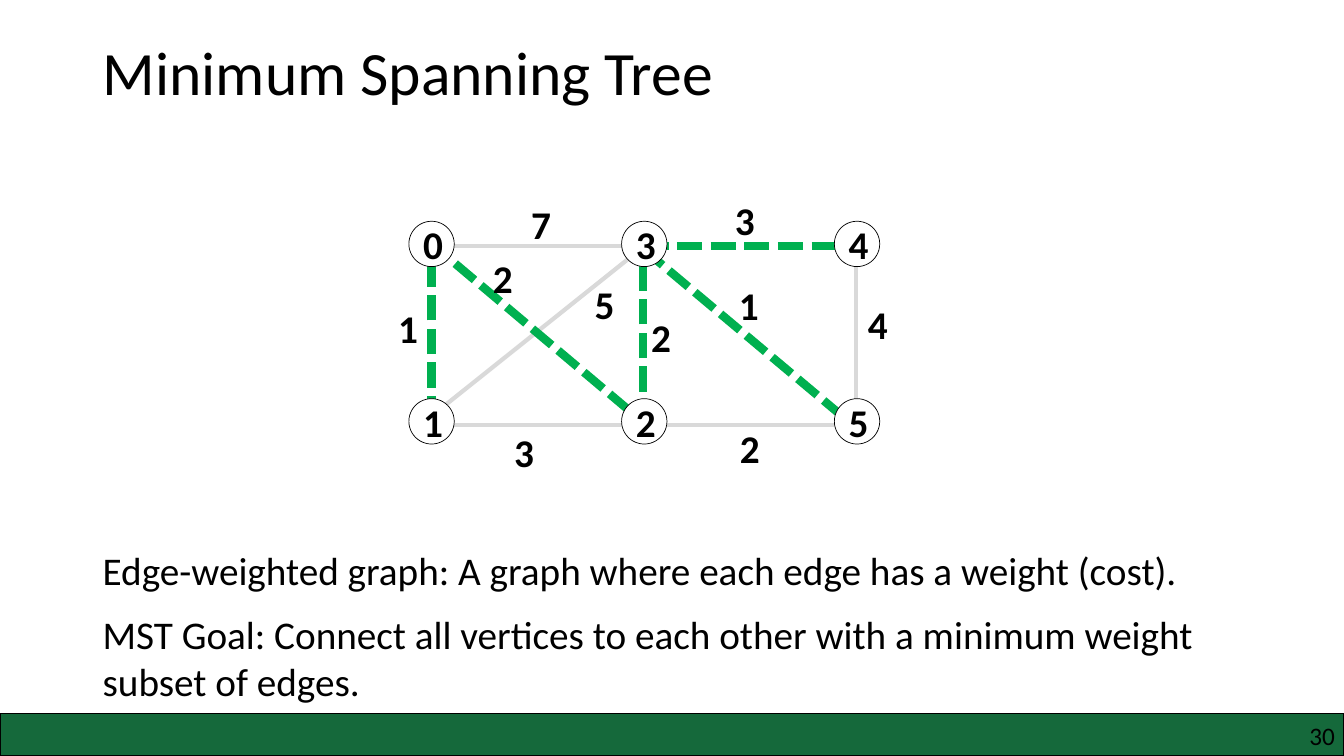
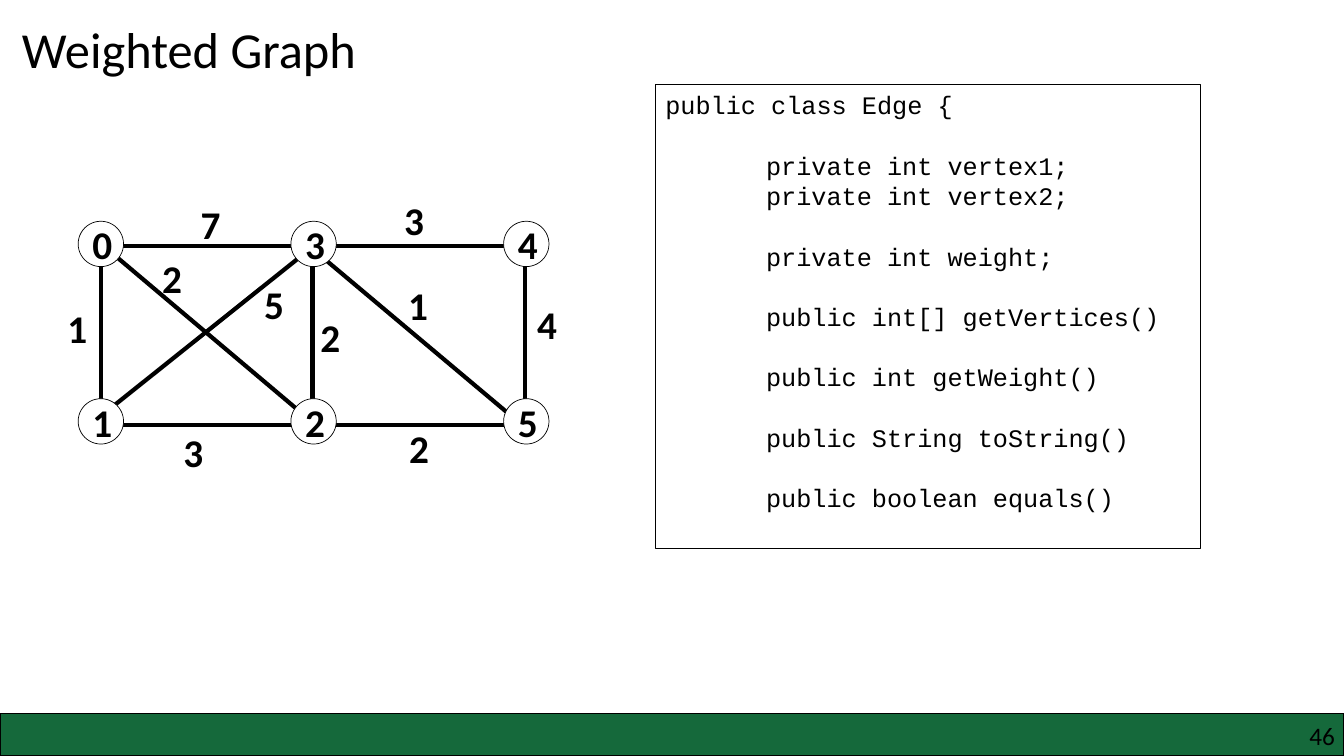
from dataclasses import dataclass

from lxml import etree
from pptx import Presentation
from pptx.dml.color import RGBColor
from pptx.enum import dml, shapes, text
from pptx.oxml import ns
from pptx.shapes.autoshape import Shape
from pptx.slide import Slide
from pptx.text.text import TextFrame, _Paragraph as Paragraph
from pptx.util import Inches, Pt


@dataclass(frozen=True)
class Theme:
    ink: RGBColor = RGBColor(0, 0, 0)
    paper: RGBColor = RGBColor(0xFF, 0xFF, 0xFF)
    band: RGBColor = RGBColor(0x15, 0x69, 0x3B)
    tree: RGBColor = RGBColor(0x00, 0xB0, 0x50)
    faded: RGBColor = RGBColor(0xD9, 0xD9, 0xD9)
    body_font: str = "Calibri"
    code_font: str = "Courier New"
    title_size: float = 44
    small_title_size: float = 36
    body_size: float = 28
    code_size: float = 18
    number_size: float = 18
    code_pitch: float = 21.6
    goal_gap: float = 12.2
    edge_width: float = 3
    tree_width: float = 6


@dataclass(frozen=True)
class Box:
    left: float
    top: float
    width: float
    height: float

    def lengths(self) -> tuple[int, int, int, int]:
        return (Inches(self.left), Inches(self.top),
                Inches(self.width), Inches(self.height))


@dataclass(frozen=True)
class Vertex:
    name: str
    x: float
    y: float


@dataclass(frozen=True)
class Edge:
    start: tuple[float, float]
    end: tuple[float, float]
    weight: str
    weight_at: tuple[float, float]
    in_tree: bool = False


THEME = Theme()
SLIDE_WIDTH, SLIDE_HEIGHT = 13.33, 7.5
BAND_TOP = 7.08
VERTEX_SIZE = 0.45
COLUMN_GAP = 2.11
TOP_ROW, BOTTOM_ROW = 2.42, 4.18
CODE_INDENT = 1

VERTICES = [
    Vertex(name, column * COLUMN_GAP, row)
    for name, column, row in (
        ("0", 0, TOP_ROW), ("1", 0, BOTTOM_ROW), ("2", 1, BOTTOM_ROW),
        ("3", 1, TOP_ROW), ("4", 2, TOP_ROW), ("5", 2, BOTTOM_ROW),
    )
]

EDGES = [
    Edge((2.1, 2.45), (-0.04, 4.16), "5", (1.52, 2.73)),
    Edge((0, 4.18), (0, 2.4), "1", (-0.43, 2.97), True),
    Edge((4.21, 4.16), (4.21, 2.37), "4", (4.23, 2.93)),
    Edge((2.1, 4.22), (2.1, 2.44), "2", (2.08, 3.06), True),
    Edge((0, 2.44), (2.15, 2.44), "7", (0.89, 1.94)),
    Edge((0, 4.22), (2.15, 4.22), "3", (0.72, 4.2)),
    Edge((2.1, 2.44), (4.25, 2.44), "3", (2.91, 1.9), True),
    Edge((2.15, 4.22), (4.3, 4.22), "2", (2.96, 4.16)),
    Edge((-0.02, 2.4), (2.1, 4.19), "2", (0.51, 2.47), True),
    Edge((2.1, 2.47), (4.23, 4.26), "1", (2.95, 2.74), True),
]

GOALS = [
    "Edge-weighted graph: A graph where each edge has a weight (cost).",
    "MST Goal: Connect all vertices to each other with a minimum weight "
    "subset of edges.",
]

CODE_GROUPS = [
    ["public class Edge {"],
    ["\tprivate int vertex1;", "\tprivate int vertex2;"],
    ["\tprivate int weight;"],
    ["\tpublic int[] getVertices()"],
    ["\tpublic int getWeight()"],
    ["\tpublic String toString()"],
    ["\tpublic boolean equals()"],
]


def add_line(frame: TextFrame, words: str, size: float, first: bool = True,
             bold: bool = False, font: str = THEME.body_font) -> Paragraph:
    paragraph = frame.paragraphs[0] if first else frame.add_paragraph()
    paragraph.alignment = text.PP_ALIGN.LEFT
    run = paragraph.add_run()
    run.text = words
    run.font.name = font
    run.font.size = Pt(size)
    run.font.bold = bold
    run.font.color.rgb = THEME.ink
    return paragraph


def clear_margins(frame: TextFrame) -> None:
    frame.margin_left = frame.margin_right = 0
    frame.margin_top = frame.margin_bottom = 0


def add_tab_stop(paragraph: Paragraph, position: float) -> None:
    properties = paragraph._p.get_or_add_pPr()
    stops = etree.SubElement(properties, ns.qn("a:tabLst"))
    etree.SubElement(stops, ns.qn("a:tab"), pos=str(Inches(position)), algn="l")


def add_words(slide: Slide, box: Box, lines: list[str], size: float,
              bold: bool = False, gap: float = 0) -> TextFrame:
    frame = slide.shapes.add_textbox(*box.lengths()).text_frame
    frame.word_wrap = True
    for index, words in enumerate(lines):
        paragraph = add_line(frame, words, size, index == 0, bold)
        if index:
            paragraph.space_before = Pt(gap)
    return frame


def add_panel(slide: Slide, kind: shapes.MSO_SHAPE, box: Box,
              fill: RGBColor, outline: float) -> Shape:
    panel = slide.shapes.add_shape(kind, *box.lengths())
    panel.shadow.inherit = False
    panel.fill.solid()
    panel.fill.fore_color.rgb = fill
    panel.line.color.rgb = THEME.ink
    panel.line.width = Pt(outline)
    return panel


def draw_edge(slide: Slide, edge: Edge, left: float, color: RGBColor,
              dashed: bool) -> None:
    (x1, y1), (x2, y2) = edge.start, edge.end
    link = slide.shapes.add_connector(
        shapes.MSO_CONNECTOR.STRAIGHT,
        Inches(left + x1), Inches(y1), Inches(left + x2), Inches(y2))
    link.line.color.rgb = color
    link.line.width = Pt(THEME.tree_width if dashed else THEME.edge_width)
    if dashed:
        link.line.dash_style = dml.MSO_LINE.SQUARE_DOT
    etree.SubElement(link._element.spPr, ns.qn("a:effectLst"))


def draw_vertex(slide: Slide, vertex: Vertex, left: float) -> None:
    radius = VERTEX_SIZE / 2
    box = Box(left + vertex.x - radius, vertex.y - radius, VERTEX_SIZE, VERTEX_SIZE)
    circle = add_panel(slide, shapes.MSO_SHAPE.OVAL, box, THEME.paper, 0.5)
    frame = circle.text_frame
    clear_margins(frame)
    frame.margin_left = Inches(0.03)
    frame.word_wrap = False
    frame.vertical_anchor = text.MSO_ANCHOR.MIDDLE
    name = add_line(frame, vertex.name, THEME.body_size, bold=True)
    name.alignment = text.PP_ALIGN.CENTER


def draw_graph(slide: Slide, left: float, show_tree: bool) -> None:
    plain = THEME.faded if show_tree else THEME.ink
    for edge in EDGES:
        dashed = show_tree and edge.in_tree
        draw_edge(slide, edge, left, THEME.tree if dashed else plain, dashed)
    for vertex in VERTICES:
        draw_vertex(slide, vertex, left)
    for edge in EDGES:
        x, y = edge.weight_at
        add_words(slide, Box(left + x, y, 0.61, 0.57), [edge.weight],
                  THEME.body_size, bold=True)


def draw_footer(slide: Slide, number: str) -> None:
    band = Box(0, BAND_TOP, SLIDE_WIDTH, SLIDE_HEIGHT - BAND_TOP)
    add_panel(slide, shapes.MSO_SHAPE.RECTANGLE, band, THEME.band, 1)
    frame = add_words(slide, Box(10.17, 7.15, 3.07, 0.3), [number],
                      THEME.number_size)
    clear_margins(frame)
    frame.paragraphs[0].alignment = text.PP_ALIGN.RIGHT


def draw_code(slide: Slide) -> None:
    listing = add_panel(slide, shapes.MSO_SHAPE.RECTANGLE,
                        Box(6.5, 0.84, 5.41, 4.6), THEME.paper, 1)
    frame = listing.text_frame
    frame.word_wrap = True
    frame.vertical_anchor = text.MSO_ANCHOR.TOP
    for group_index, group in enumerate(CODE_GROUPS):
        for line_index, code in enumerate(group):
            first = group_index == line_index == 0
            paragraph = add_line(frame, code, THEME.code_size, first,
                                 font=THEME.code_font)
            add_tab_stop(paragraph, CODE_INDENT)
            paragraph.line_spacing = Pt(THEME.code_pitch)
            if group_index and line_index == 0:
                paragraph.space_before = Pt(THEME.code_pitch)


def build_spanning_tree(slide: Slide) -> None:
    title = add_words(slide, Box(0.92, 0.02, 11.5, 1.45),
                      ["Minimum Spanning Tree"], THEME.title_size)
    title.vertical_anchor = text.MSO_ANCHOR.MIDDLE
    title.paragraphs[0].line_spacing = 0.9
    draw_graph(slide, 4.28, show_tree=True)
    add_words(slide, Box(0.92, 5.37, 11.66, 1.68), GOALS, THEME.body_size,
              gap=THEME.goal_gap)
    draw_footer(slide, "30")


def build_weighted_graph(slide: Slide) -> None:
    title = add_words(slide, Box(0.12, 0.13, 3.54, 0.71), ["Weighted Graph"],
                      THEME.small_title_size)
    title.word_wrap = False
    draw_graph(slide, 1, show_tree=False)
    draw_code(slide)
    draw_footer(slide, "46")


def main() -> None:
    deck = Presentation()
    deck.slide_width = Inches(SLIDE_WIDTH)
    deck.slide_height = Inches(SLIDE_HEIGHT)
    blank = deck.slide_layouts[6]
    for build in (build_spanning_tree, build_weighted_graph):
        build(deck.slides.add_slide(blank))
    deck.save("out.pptx")


if __name__ == "__main__":
    main()
